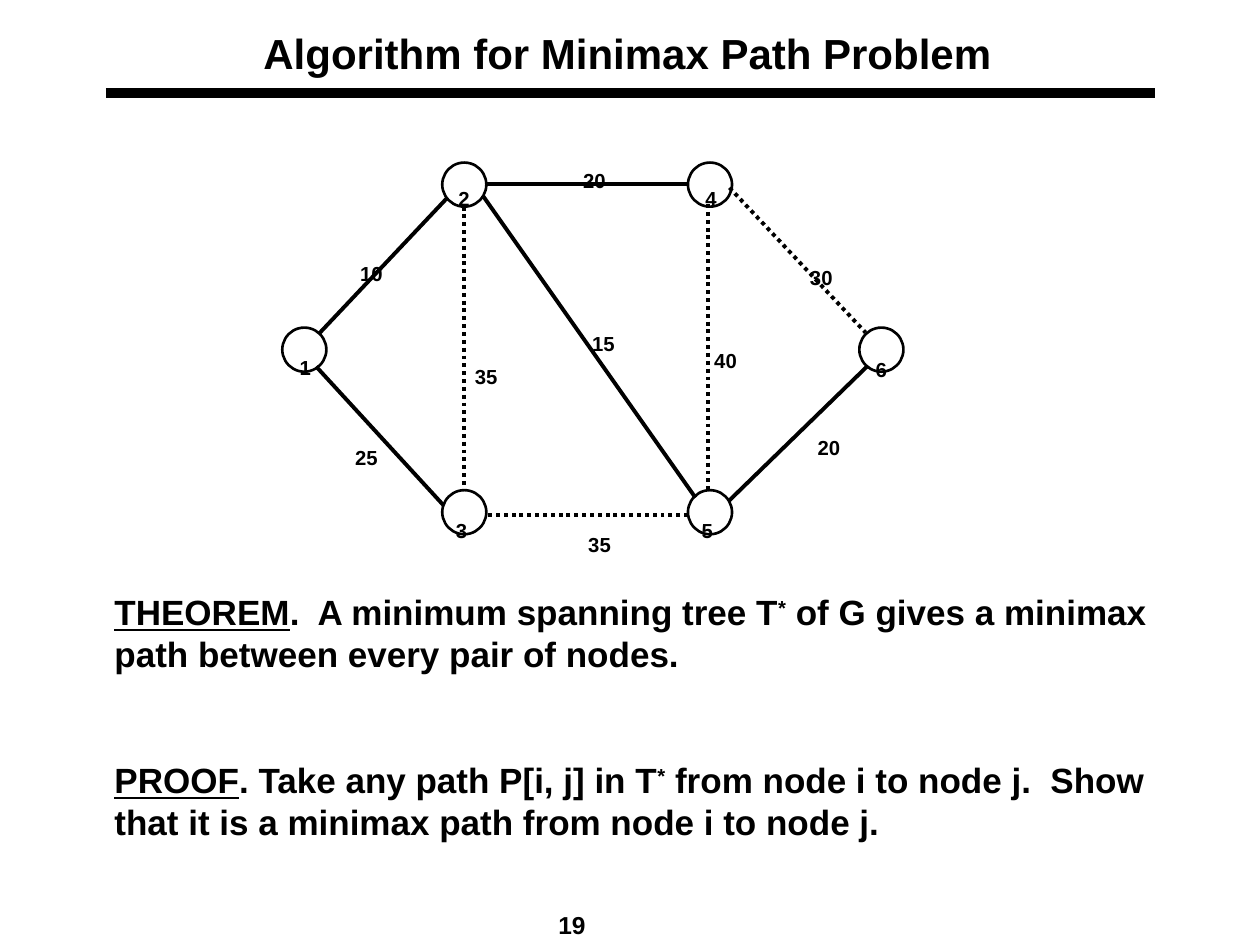
from pptx import Presentation
from pptx.dml.color import RGBColor
from pptx.enum.dml import MSO_LINE
from pptx.enum.shapes import MSO_CONNECTOR, MSO_SHAPE
from pptx.enum.text import MSO_ANCHOR, MSO_AUTO_SIZE, PP_ALIGN
from pptx.oxml import parse_xml
from pptx.oxml.ns import nsdecls
from pptx.util import Inches, Pt

THEME = {
    "font": "Arial",
    "ink": RGBColor(0x00, 0x00, 0x00),
    "paper": RGBColor(0xFF, 0xFF, 0xFF),
    "title": Pt(24),
    "body": Pt(20),
    "label": Pt(20),
    "page": Pt(14),
    "rule": Pt(6),
    "edge": Pt(2.25),
    "outline": Pt(1.5),
}

presentation = Presentation()
presentation.slide_width = Inches(10)
presentation.slide_height = Inches(7.5)
slide = presentation.slides.add_slide(presentation.slide_layouts[6])

# Square grid: 100 columns by 75 rows
CELL = presentation.slide_width / 100


def add_line(shapes, ends, width, dotted=False):
    """Draw a straight line between two grid points, without a shadow."""
    line = shapes.add_connector(MSO_CONNECTOR.STRAIGHT, *[round(value * CELL) for value in ends])
    line.line.color.rgb = THEME["ink"]
    line.line.width = width
    if dotted:
        line.line.dash_style = MSO_LINE.ROUND_DOT
    line._element.spPr.append(parse_xml(f"<a:effectLst {nsdecls('a')}/>"))


def add_text(shapes, box, paragraphs, size, wrap=True):
    """Add a text box; each paragraph is a list of (text, style) runs."""
    shape = shapes.add_textbox(*[round(value * CELL) for value in box])
    frame = shape.text_frame
    frame.word_wrap = wrap
    frame.auto_size = MSO_AUTO_SIZE.NONE if wrap else MSO_AUTO_SIZE.SHAPE_TO_FIT_TEXT
    for index, runs in enumerate(paragraphs):
        paragraph = frame.add_paragraph() if index else frame.paragraphs[0]
        for text, style in runs:
            run = paragraph.add_run()
            run.text = text
            run.font.name = THEME["font"]
            run.font.size = size
            run.font.bold = True
            run.font.color.rgb = THEME["ink"]
            if style == "underline":
                run.font.underline = True
            elif style == "superscript":
                run.font._element.set("baseline", "30000")
            elif style == "lowered":
                run.font._element.set("baseline", "-20000")
    return frame


# Title and rule
add_line(slide.shapes, (8.4, 7.4, 91.7, 7.4), THEME["rule"])
title = add_text(slide.shapes, (7.3, 2.3, 85, 3.7),
                 [[("Algorithm for Minimax Path Problem", None)]], THEME["title"])
title.vertical_anchor = MSO_ANCHOR.MIDDLE
title.paragraphs[0].alignment = PP_ALIGN.CENTER

# Theorem and proof
statements = add_text(slide.shapes, (8.1, 46.4, 85, 21.7), [
    [("THEOREM", "underline"),
     (".  A minimum spanning tree T", None),
     ("*", "superscript"),
     (" of G gives a minimax path between every pair of nodes.", None)],
    [("PROOF", "underline"),
     (". Take any path P[i, j] in T", None),
     ("*", "superscript"),
     (" from node i to node j.  Show that it is a minimax path from node i to node j.", None)],
], THEME["body"])
line_pitch = Pt(24)
for paragraph in statements.paragraphs:
    paragraph.line_spacing = line_pitch
statements.paragraphs[1].space_before = 2 * line_pitch

# Graph data: node circle corner and label corner
NODE_SIZE = 3.5
nodes = {
    "1": ((22.4, 26), (22.8, 26)),
    "2": ((35.1, 12.9), (35.4, 12.6)),
    "3": ((35.1, 38.9), (35.2, 38.9)),
    "4": ((54.6, 12.9), (55, 12.6)),
    "5": ((54.6, 38.9), (54.7, 38.9)),
    "6": ((68.2, 26), (68.5, 26.1)),
}
# Edge weight, end points, label corner, dotted when outside the tree
edges = [
    ("10", (25.3, 26.5, 35.5, 15.7), (27.6, 18.5), False),
    ("20", (38.5, 14.6, 54.5, 14.6), (45.3, 11.1), False),
    ("30", (57.9, 14.9, 68.7, 26.4), (63.3, 18.8), True),
    ("20", (68.8, 29.1, 57.8, 39.8), (63.9, 32.3), False),
    ("35", (54.6, 40.9, 38.5, 40.9), (45.7, 40), True),
    ("25", (25.1, 29.1, 35.2, 40.1), (27.2, 33.1), False),
    ("35", (36.8, 16.4, 36.8, 38.7), (36.7, 26.7), True),
    ("40", (56.2, 16.2, 56.2, 38.9), (55.7, 25.4), True),
    ("15", (38.3, 15.5, 55.2, 39.5), (46, 24.1), False),
]

# Graph: circles at the back, then edges, then labels
graph = slide.shapes.add_group_shape().shapes
for corner, _ in nodes.values():
    circle = graph.add_shape(
        MSO_SHAPE.OVAL, *[round(value * CELL) for value in (*corner, NODE_SIZE, NODE_SIZE)])
    circle.shadow.inherit = False
    circle.fill.solid()
    circle.fill.fore_color.rgb = THEME["paper"]
    circle.line.color.rgb = THEME["ink"]
    circle.line.width = THEME["outline"]
for _, ends, _, dotted in edges:
    add_line(graph, ends, THEME["edge"], dotted)
labels = [(name, corner, 2.9) for name, (_, corner) in nodes.items()]
labels += [(weight, corner, 3.8) for weight, _, corner, _ in edges]
for text, corner, width in labels:
    add_text(graph, (*corner, width, 4.7), [[(text, "lowered")]], THEME["label"], wrap=False)

# Page number
page = add_text(slide.shapes, (35, 71.7, 20.8, 2.5), [[("19", None)]], THEME["page"])
page.paragraphs[0].alignment = PP_ALIGN.CENTER

presentation.save("out.pptx")
